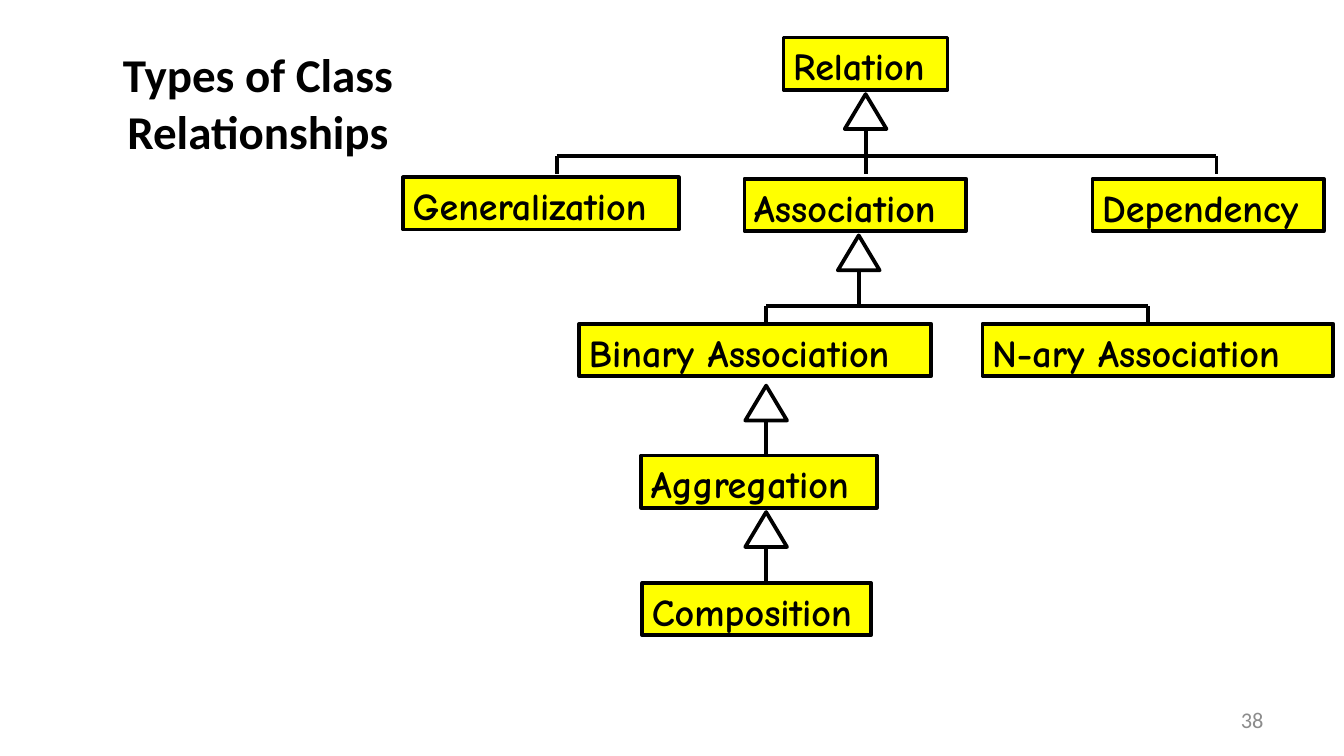
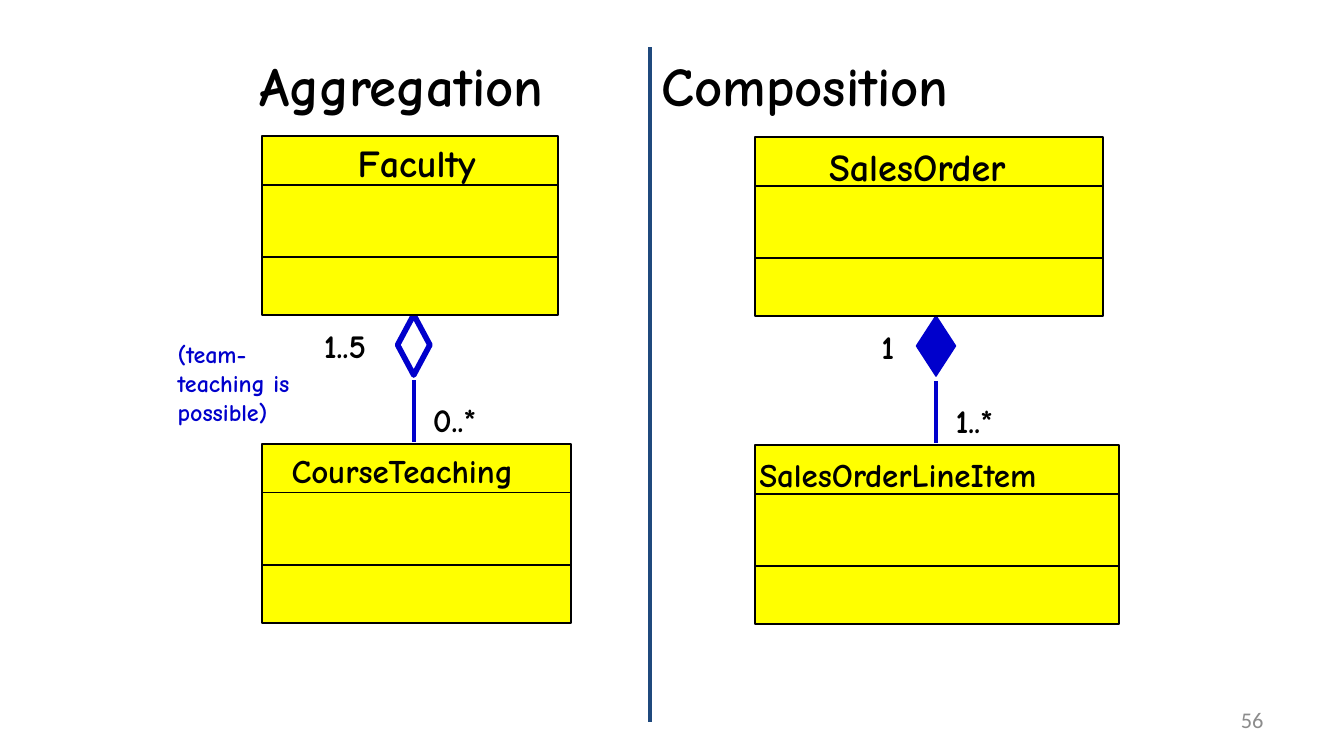
from collections import namedtuple

from lxml import etree
from pptx import Presentation
from pptx import util as u
from pptx.dml.color import RGBColor
from pptx.enum import shapes, text
from pptx.oxml import ns

Box = namedtuple("Box", "left top width height")
Link = namedtuple("Link", "center width fill line upper upper_left lower lower_left")
Entity = namedtuple("Entity", "name width size name_left name_top")

BLACK, WHITE, YELLOW = "000000", "FFFFFF", "FFFF00"
BLUE, NAVY, GRAY = "0000CC", "1F497D", "8C8C8C"
HAND, PLAIN = "Comic Neue", "Calibri"
LEFT, CENTER, RIGHT = text.PP_ALIGN.LEFT, text.PP_ALIGN.CENTER, text.PP_ALIGN.RIGHT
TOP, MIDDLE = text.MSO_ANCHOR.TOP, text.MSO_ANCHOR.MIDDLE
INSETS = (0.18, 0.1, 0.18, 0.1)

NODE_HEIGHT = 0.99
NODES = [
    ("Relation", 7.19, 0, 3.1),
    ("Generalization", 0, 2.64, 5.21),
    ("Association", 6.45, 2.67, 4.19),
    ("Dependency", 13.03, 2.67, 4.37),
    ("Binary Association", 3.33, 5.41, 6.65),
    ("N-ary Association", 10.95, 5.41, 6.63),
    ("Aggregation", 4.5, 7.9, 4.45),
    ("Composition", 4.52, 10.31, 4.32),
]
INHERITANCES = [
    (8.74, 1.07, 2.57, [2.9, 8.74, 15.37]),
    (8.61, 3.74, 5.41, [6.86, 14.07]),
    (6.86, 6.58, 7.9, []),
    (6.86, 8.97, 10.31, []),
]
CLASS_HEIGHT = 3.38
LOWER_CLASS_TOP = 5.82


def color(value):
    return RGBColor.from_string(value)


def place(shape, box):
    shape.left, shape.top, shape.width, shape.height = map(u.Cm, box)


def write(shape, words, size=20.4, font=HAND, ink=BLACK, bold=True,
          align=LEFT, anchor=TOP, insets=INSETS, tab=None):
    frame = shape.text_frame
    frame.word_wrap = True
    frame.auto_size = text.MSO_AUTO_SIZE.NONE
    frame.vertical_anchor = anchor
    (frame.margin_left, frame.margin_top,
     frame.margin_right, frame.margin_bottom) = map(u.Cm, insets)
    para = frame.paragraphs[0]
    para.alignment = align
    if tab:
        stops = etree.SubElement(para._p.get_or_add_pPr(), ns.qn("a:tabLst"))
        etree.SubElement(stops, ns.qn("a:tab"), pos=str(u.Cm(tab)), algn="l")
    span = para.add_run()
    span.text = words
    span.font.name, span.font.size, span.font.bold = font, u.Pt(size), bold
    span.font.color.rgb = color(ink)


def add_label(page, words, box, **style):
    label = page.shapes.add_textbox(*map(u.Cm, box))
    write(label, words, **style)


def add_outline(page, kind, box, fill=None, ink=BLACK, weight=1):
    shape = page.shapes.add_shape(kind, *map(u.Cm, box))
    shape.shadow.inherit = False
    if fill:
        shape.fill.solid()
        shape.fill.fore_color.rgb = color(fill)
    else:
        shape.fill.background()
    shape.line.color.rgb = color(ink)
    shape.line.width = u.Pt(weight)
    return shape


def add_line(page, x1, y1, x2, y2, ink=BLACK, weight=1):
    line = page.shapes.add_connector(
        shapes.MSO_CONNECTOR.STRAIGHT, *map(u.Cm, (x1, y1, x2, y2)))
    line.line.color.rgb = color(ink)
    line.line.width = u.Pt(weight)
    etree.SubElement(line._element.spPr, ns.qn("a:effectLst"))


def add_page(deck, title, box, number, **title_style):
    page = deck.slides.add_slide(deck.slide_layouts[5])
    place(page.shapes.title, box)
    write(page.shapes.title, title, anchor=MIDDLE, **title_style)
    add_label(page, number, Box(18.21, 13.23, 5.92, 0.76), size=12, font=PLAIN,
              ink=GRAY, bold=False, align=RIGHT, anchor=MIDDLE,
              insets=(0.25, 0.13, 0.25, 0.13))
    return page


def draw_inheritance(page, box, center, top, bottom, children):
    x, tip, end = box.left + center, box.top + top, box.top + bottom
    width, height, drop = 0.79, 0.66, 0.33
    add_outline(page, shapes.MSO_SHAPE.ISOSCELES_TRIANGLE,
                Box(x - width / 2, tip, width, height), WHITE, weight=2)
    bar = end - drop if children else end
    add_line(page, x, tip + height, x, bar, weight=2)
    for child in children:
        add_line(page, box.left + child, bar, box.left + child, end, weight=2)
    if children:
        add_line(page, box.left + children[0], bar,
                 box.left + children[-1], bar, weight=2)


def draw_tree(page, box):
    for name, left, top, width in NODES:
        node = add_outline(
            page, shapes.MSO_SHAPE.RECTANGLE,
            Box(box.left + left, box.top + top, width, NODE_HEIGHT), YELLOW, weight=2)
        write(node, name)
    for inheritance in INHERITANCES:
        draw_inheritance(page, box, *inheritance)


def draw_class(page, left, top, entity):
    add_outline(page, shapes.MSO_SHAPE.RECTANGLE,
                Box(left, top, entity.width, CLASS_HEIGHT), YELLOW)
    for offset in (0.92, 2.29):
        add_line(page, left, top + offset, left + entity.width, top + offset)
    add_label(page, entity.name,
              Box(left + entity.name_left, top + entity.name_top,
                  entity.width - entity.name_left, 1.07), size=entity.size)


def draw_link(page, box, link):
    x = box.left + link.center
    add_outline(page, shapes.MSO_SHAPE.FLOWCHART_DECISION,
                Box(x - link.width / 2, box.top + CLASS_HEIGHT, link.width, 1.14),
                link.fill, BLUE, link.line)
    add_line(page, x, box.top + 4.62, x, box.top + 5.79, BLUE, 2.25)
    for words, left, top in ((link.upper, link.upper_left, 3.48),
                             (link.lower, link.lower_left, 4.88)):
        add_label(page, words, Box(box.left + left, box.top + top, 1.7, 0.94), size=17.7)


def draw_class_pair(page, box, whole, part, link):
    draw_link(page, box, link)
    draw_class(page, box.left, box.top, whole)
    draw_class(page, box.left, box.top + LOWER_CLASS_TOP, part)


def build_relationships(deck):
    page = add_page(deck, "Types of Class Relationships", Box(0, 0.74, 9.75, 2.39),
                    "38", size=25.2, font=PLAIN, align=CENTER)
    draw_tree(page, Box(7.62, 0.71, 17.58, 11.3))


def build_comparison(deck):
    page = add_page(deck, "Aggregation\tComposition", Box(3.61, 0.41, 17.55, 2.39),
                    "56", size=29.3, insets=(1.29, 0.1, 0.18, 0.1), tab=7.6)
    draw_class_pair(
        page, Box(4.95, 2.57, 5.84, 9.2),
        Entity("Faculty", 5.59, 20.4, 1.63, -0.03),
        Entity("CourseTeaching", 5.84, 17.7, 0.38, 0.03),
        Link(2.87, 0.61, None, 3, "1..5", 0.99, "0..*", 3.05))
    draw_class_pair(
        page, Box(14.27, 2.59, 6.88, 9.2),
        Entity("SalesOrder", 6.58, 20.4, 1.22, 0.03),
        Entity("SalesOrderLineItem", 6.88, 17.7, -0.1, 0.08),
        Link(3.42, 0.74, BLUE, 0.75, "1", 2.21, "1..*", 3.61))
    add_line(page, 12.29, 0.89, 12.29, 13.64, NAVY, 2.25)
    add_label(page, "(team-teaching is possible)", Box(3.18, 6.32, 3.07, 1.85),
              size=12.9, ink=BLUE)


def main():
    deck = Presentation()
    deck.slide_width, deck.slide_height = u.Cm(25.4), u.Cm(14.29)
    build_relationships(deck)
    build_comparison(deck)
    deck.save("out.pptx")


if __name__ == "__main__":
    main()
